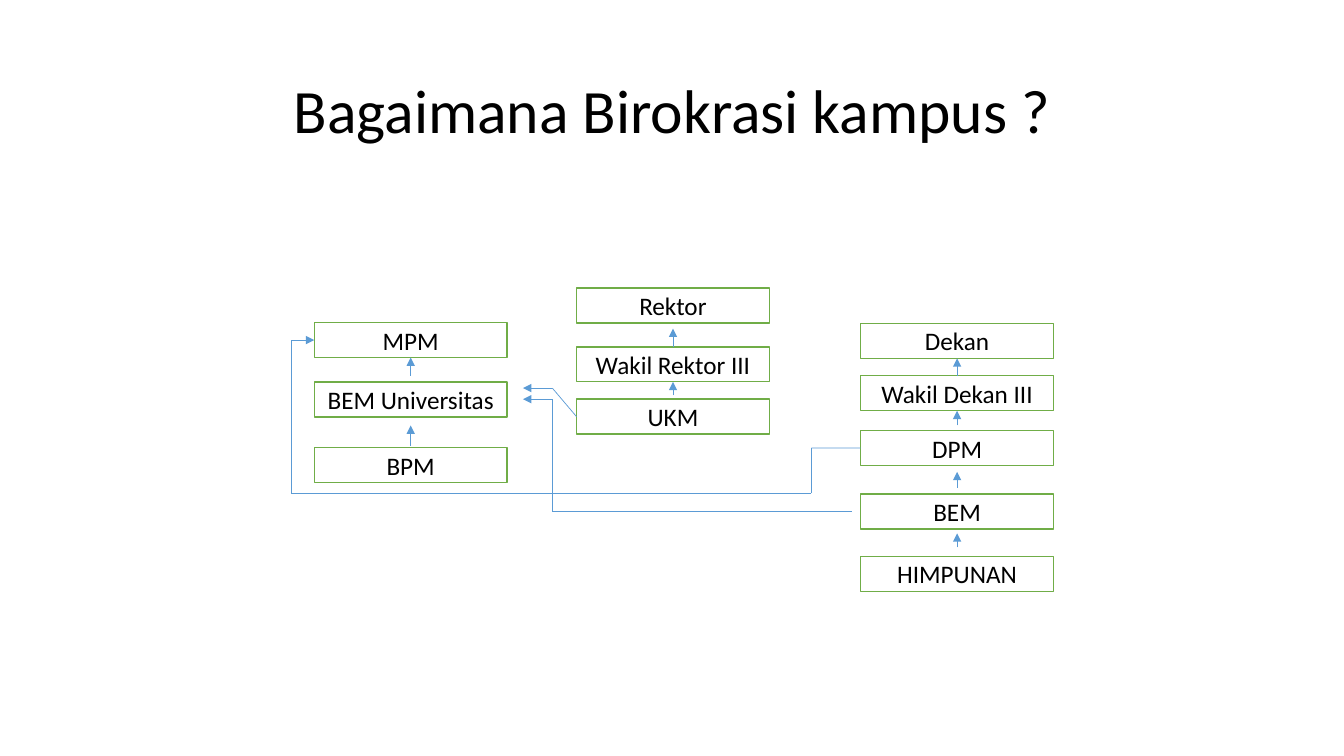
from lxml import etree
from pptx import Presentation
from pptx import util as u
from pptx.dml.color import RGBColor
from pptx.enum import shapes, text
from pptx.oxml.ns import qn

COLORS = {"text": "000000", "fill": "FFFFFF", "border": "70AD47", "arrow": "5B9BD5"}
TOP, LEFT, BOTTOM = 0, 1, 2
BOX_WIDTH, BOX_HEIGHT = 4.86, 0.88

# Column left edge, then (label, top, arrow start, arrow end) from top to bottom.
# The arrow rises to the box above; None joins that end to the box.
COLUMNS = [
    (14.53, [("Rektor", 7.26, None, None),
             ("Wakil Rektor III", 8.74, None, 8.28),
             ("UKM", 10.06, 9.96, None)]),
    (21.69, [("Dekan", 8.15, None, None),
             ("Wakil Dekan III", 9.47, None, None),
             ("DPM", 10.85, 10.72, None),
             ("BEM", 12.45, 12.29, 11.89),
             ("HIMPUNAN", 14.02, 13.79, 13.44)]),
    (7.92, [("MPM", 8.13, None, None),
            ("BEM Universitas", 9.63, 9.47, None),
            ("BPM", 11.28, 11.23, 10.72)]),
]


class ChartPage:
    def __init__(self, page, font="Calibri"):
        self.page = page
        self.font = font

    def color(self, name):
        return RGBColor.from_string(COLORS[name])

    def add_wording(self, frame, wording, size):
        frame.word_wrap = True
        frame.vertical_anchor = text.MSO_ANCHOR.MIDDLE
        para = frame.paragraphs[0]
        para.alignment = text.PP_ALIGN.CENTER
        span = para.add_run()
        span.text = wording
        span.font.name = self.font
        span.font.size = u.Pt(size)
        span.font.color.rgb = self.color("text")
        return para

    def title(self, wording, left, top, width, height):
        title = self.page.shapes.title
        title.left, title.top = u.Cm(left), u.Cm(top)
        title.width, title.height = u.Cm(width), u.Cm(height)
        self.add_wording(title.text_frame, wording, 44).line_spacing = 0.9

    def box(self, label, left, top):
        box = self.page.shapes.add_shape(
            shapes.MSO_SHAPE.RECTANGLE,
            u.Cm(left), u.Cm(top), u.Cm(BOX_WIDTH), u.Cm(BOX_HEIGHT))
        box.shadow.inherit = False
        box.fill.solid()
        box.fill.fore_color.rgb = self.color("fill")
        box.line.color.rgb = self.color("border")
        box.line.width = u.Pt(1)
        self.add_wording(box.text_frame, label, 18)
        return box

    def line(self, start, end, arrow=False):
        line = self.page.shapes.add_connector(
            shapes.MSO_CONNECTOR.STRAIGHT, *(u.Cm(value) for value in (*start, *end)))
        line.line.color.rgb = self.color("arrow")
        line.line.width = u.Pt(0.5)
        properties = line.element.spPr
        if arrow:
            etree.SubElement(properties.find(qn("a:ln")), qn("a:tailEnd"), type="triangle")
        etree.SubElement(properties, qn("a:effectLst"))
        return line

    def route(self, points, source=None, target=None):
        """Draw a bent arrow through the points, joined to left sides of boxes."""
        last = len(points) - 2
        lines = [self.line(*pair, arrow=index == last)
                 for index, pair in enumerate(zip(points, points[1:]))]
        if source:
            lines[0].begin_connect(source, LEFT)
        if target:
            lines[-1].end_connect(target, LEFT)

    def column(self, left, rows):
        """Stack boxes with arrows rising between them; return boxes by label."""
        boxes = {}
        center = left + BOX_WIDTH / 2
        above = above_top = None
        for label, top, start, end in rows:
            box = boxes[label] = self.box(label, left, top)
            if above:
                start_y = top if start is None else start
                end_y = above_top + BOX_HEIGHT if end is None else end
                arrow = self.line((center, start_y), (center, end_y), arrow=True)
                if start is None:
                    arrow.begin_connect(box, TOP)
                if end is None:
                    arrow.end_connect(above, BOTTOM)
            above, above_top = box, top
        return boxes


def main():
    deck = Presentation()
    deck.slide_width, deck.slide_height = u.Cm(33.87), u.Cm(19.05)
    chart = ChartPage(deck.slides.add_slide(deck.slide_layouts[5]))
    chart.title("Bagaimana Birokrasi kampus ?", 2.34, 1.02, 29.21, 3.68)

    boxes = {}
    for left, rows in COLUMNS:
        boxes.update(chart.column(left, rows))

    bend, tip = 13.92, 13.18
    chart.route([(21.46, 12.88), (bend, 12.88), (bend, 10.06), (tip, 10.06)])
    chart.route([(14.53, 10.5), (bend, 9.78), (tip, 9.78)], source=boxes["UKM"])
    chart.route([(21.69, 11.29), (20.45, 11.29), (20.45, 12.43),
                 (7.34, 12.43), (7.34, 8.57), (7.92, 8.57)],
                source=boxes["DPM"], target=boxes["MPM"])
    deck.save("out.pptx")


if __name__ == "__main__":
    main()
